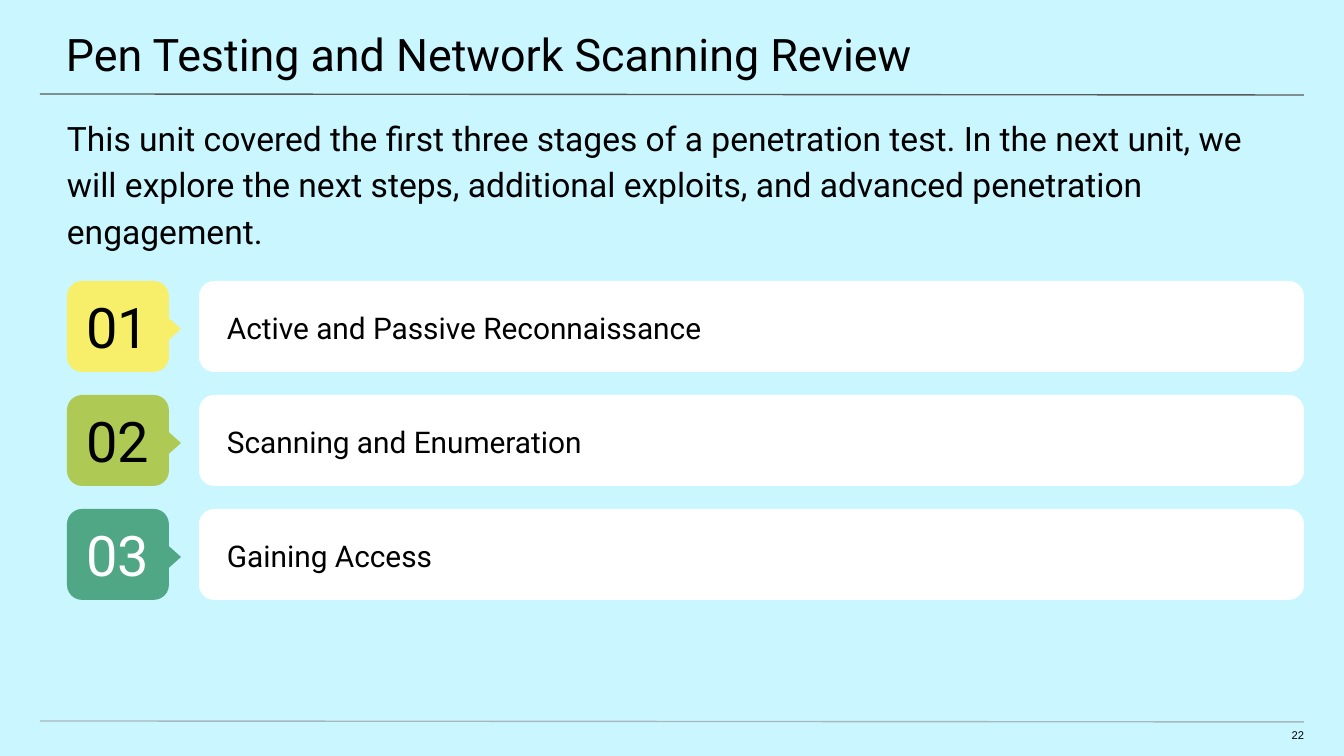
"""Build the pen testing review slide."""
from pptx import Presentation
from pptx.dml.color import RGBColor
from pptx.enum.shapes import MSO_CONNECTOR, MSO_SHAPE
from pptx.enum.text import MSO_ANCHOR, MSO_AUTO_SIZE, PP_ALIGN
from pptx.oxml.ns import qn
from pptx.util import Emu, Pt

PX = 914400 / 134.4
COLORS = {
    "background": "CAF7FF", "black": "000000", "white": "FFFFFF",
    "title_rule": "595959", "footer_rule": "A9B7C0",
    "yellow": "F7EF6A", "lime": "AFCA54", "green": "4FA786",
}
STAGES = [
    ("01", "Active and Passive Reconnaissance", "yellow", "black"),
    ("02", "Scanning and Enumeration", "lime", "black"),
    ("03", "Gaining Access", "green", "white"),
]
INTRO = ("This unit covered the first three stages of a penetration test. "
         "In the next unit, we will explore the next steps, additional exploits, "
         "and advanced penetration engagement.")


def px(n):
    return Emu(round(n * PX))


def rgb(name):
    return RGBColor.from_string(COLORS[name])


def set_text(sp, text, size, insets, color="black", font="Roboto",
             align=PP_ALIGN.LEFT, anchor=MSO_ANCHOR.TOP, spacing=1.0):
    tf = sp.text_frame
    tf.text = text
    tf.word_wrap = True
    tf.auto_size = MSO_AUTO_SIZE.NONE
    tf.vertical_anchor = anchor
    tf.margin_left, tf.margin_top, tf.margin_right, tf.margin_bottom = map(px, insets)
    p = tf.paragraphs[0]
    p.alignment = align
    p.line_spacing = spacing
    r = p.runs[0]
    r.font.size = Pt(size)
    r.font.name = font
    r.font.color.rgb = rgb(color)


def add_text(s, box, text, size, insets, **style):
    sp = s.shapes.add_textbox(*map(px, box))
    set_text(sp, text, size, insets, **style)


def add_filled(shapes, kind, box, color):
    sp = shapes.add_shape(kind, *map(px, box))
    sp.shadow.inherit = False
    sp.fill.solid()
    sp.fill.fore_color.rgb = rgb(color)
    sp.line.fill.background()
    return sp


def add_rule(s, y, color):
    line = s.shapes.add_connector(MSO_CONNECTOR.STRAIGHT, px(40), px(y), px(1304), px(y + 1))
    line.line.color.rgb = rgb(color)
    line.line.width = Pt(0.75)
    sp_pr = line._element.spPr
    sp_pr.append(sp_pr.makeelement(qn("a:effectLst"), {}))


def add_stage(s, top, number, label, color, number_color):
    card = add_filled(s.shapes, MSO_SHAPE.ROUNDED_RECTANGLE, (199, top, 1105, 91), "white")
    badge = s.shapes.add_group_shape()
    tile = add_filled(badge.shapes, MSO_SHAPE.ROUNDED_RECTANGLE, (67, top, 102, 91), color)
    for sp in (card, tile):
        sp.adjustments[0] = 0.167
    set_text(tile, number, 30, (13, 13, 13, 13), color=number_color,
             align=PP_ALIGN.CENTER, anchor=MSO_ANCHOR.MIDDLE)
    pointer = add_filled(badge.shapes, MSO_SHAPE.FLOWCHART_EXTRACT,
                         (142, top + 34, 50, 28), color)
    pointer.rotation = 90
    add_text(s, (227, top + 2, 1121, 89), label, 16, (0, 0, 67, 0),
             anchor=MSO_ANCHOR.MIDDLE)


def add_title(s, text):
    title = s.shapes.title
    title.left, title.top, title.width, title.height = map(px, (-1, 0, 1348, 78))
    set_text(title, text, 24, (67, 27, 40, 13))


def main():
    prs = Presentation()
    prs.slide_width, prs.slide_height = px(1344), px(756)
    s = prs.slides.add_slide(prs.slide_layouts[5])
    s.background.fill.solid()
    s.background.fill.fore_color.rgb = rgb("background")
    add_rule(s, 94, "title_rule")
    add_rule(s, 721, "footer_rule")
    add_title(s, "Pen Testing and Network Scanning Review")
    add_text(s, (0, 99, 1344, 54), INTRO, 18, (67, 13, 67, 0), spacing=1.15)
    for i, stage in enumerate(STAGES):
        add_stage(s, 281 + 114 * i, *stage)
    add_text(s, (1265, 728, 39, 16), "22", 6, (0, 0, 0, 13),
             font="Arial", align=PP_ALIGN.RIGHT)
    prs.save("out.pptx")


if __name__ == "__main__":
    main()
